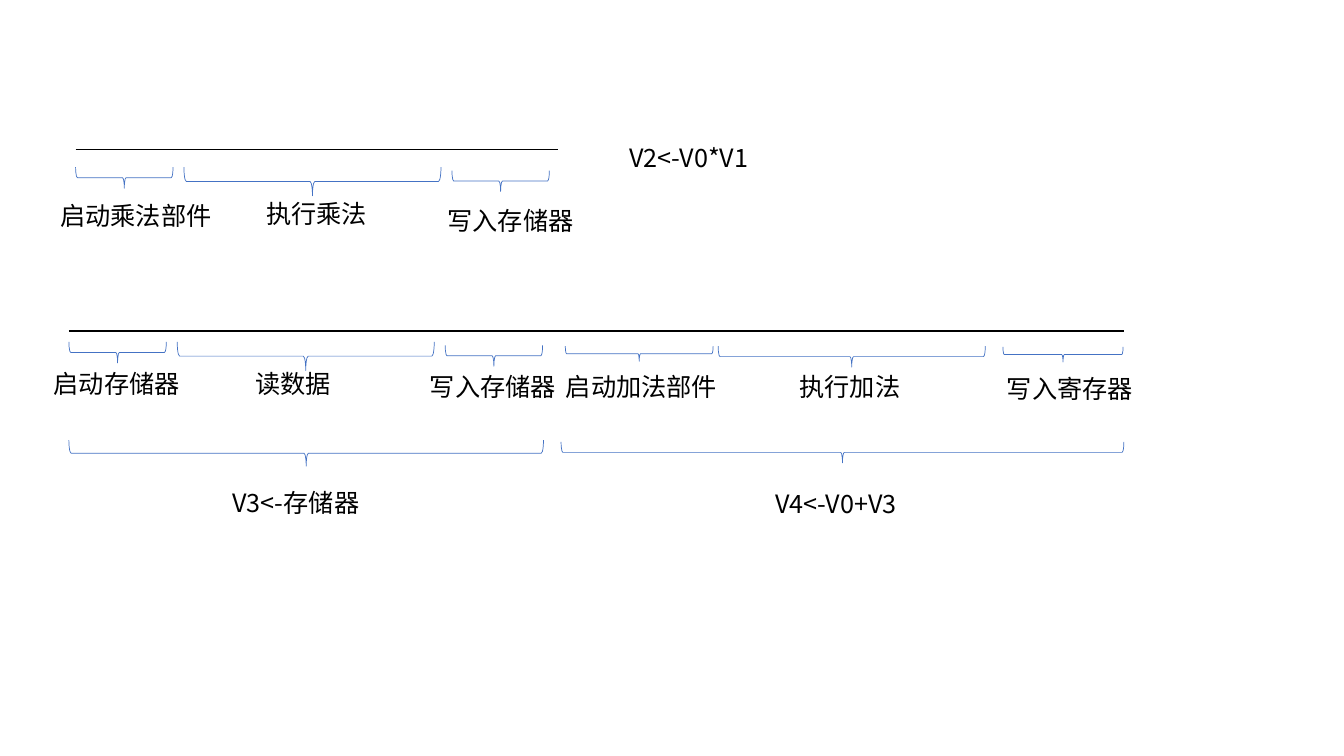
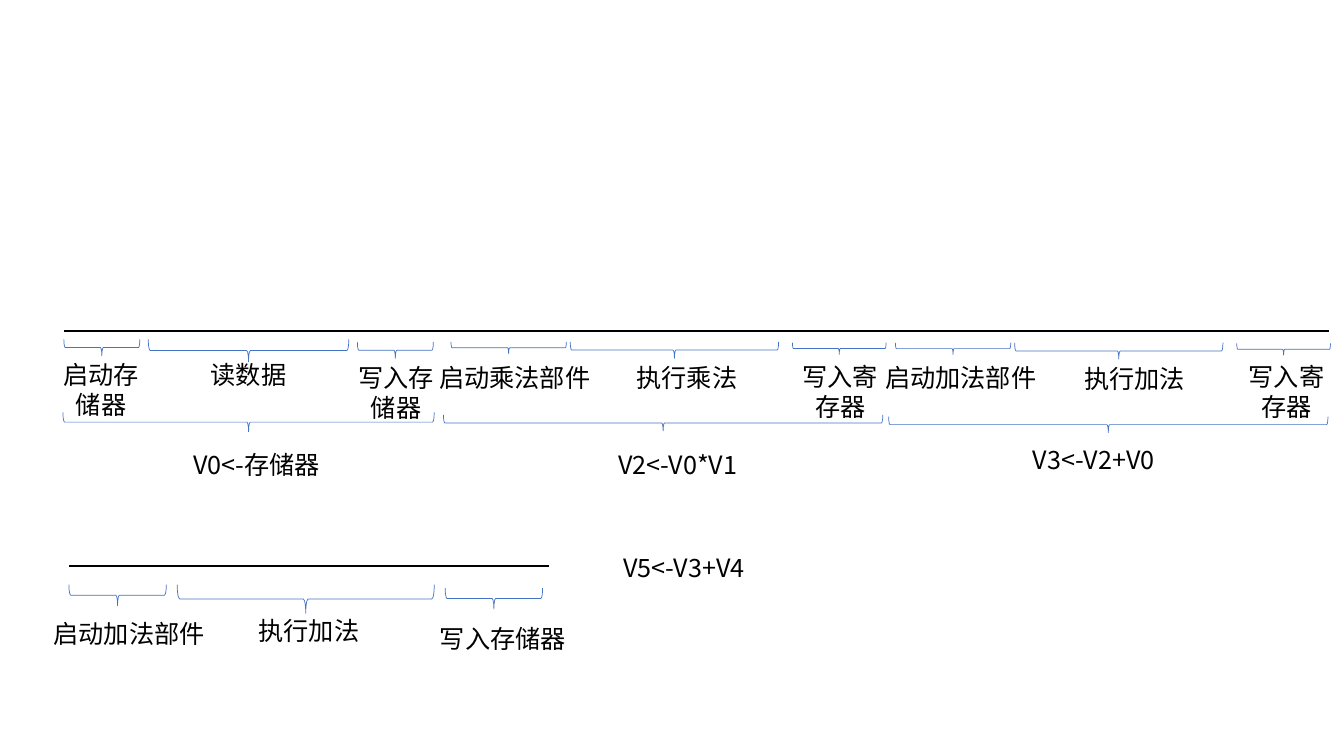
"""Build two slides of vector-pipeline timelines with braced stages."""
from dataclasses import dataclass
from typing import NamedTuple, Optional

from lxml.etree import SubElement
from pptx import Presentation
from pptx.dml.color import RGBColor
from pptx.enum.shapes import MSO_CONNECTOR as CONN, MSO_SHAPE as SHAPE
from pptx.enum.text import MSO_AUTO_SIZE as AUTO, PP_ALIGN as ALIGN
from pptx.oxml.ns import qn
from pptx.slide import Slide
from pptx.util import Inches, Pt

COLORS = {"text": "000000", "axis": "000000", "brace": "4472C4"}
FONT = "Noto Sans CJK SC"
WIDTH, HEIGHT = Inches(13.3333), Inches(7.5)
COLUMNS, ROWS = 80, 45
LINE_HEIGHT, WRAPPED_HEIGHT = 2.4, 4.25
COMPACT = 0.78


class Step(NamedTuple):
    offset: float
    drop: float
    span: float
    depth: float


class Axis(NamedTuple):
    start: float
    end: float
    row: float


class Brace(NamedTuple):
    col: float
    row: float
    span: float
    depth: float


class Label(NamedTuple):
    text: str
    col: float
    row: float
    width: Optional[float] = None
    wrapped: bool = False


WIDE_ENDS = (Step(0, 0, 5.8, 1.25), Step(6.45, 0, 15.3, 1.7), Step(22.4, 0.2, 5.8, 1.25))
WIDE_START = (Step(0, 0, 8.8, 0.9), Step(9.1, 0, 15.9, 1.25), Step(26.05, 0.05, 7.15, 0.9))


@dataclass(frozen=True)
class Stages:
    col: float
    row: float
    steps: tuple[Step, ...]
    labels: tuple[Label, ...]
    scale: float = 1


@dataclass(frozen=True)
class Timeline:
    axis: Axis
    stages: tuple[Stages, ...]
    results: tuple[Label, ...]
    braces: tuple[Brace, ...] = ()


SLIDES = (
    (
        Timeline(
            Axis(4.1, 66.9, 19.7),
            (
                Stages(4.1, 20.35, WIDE_ENDS, (
                    Label("启动存储器", 2.6, 21.6),
                    Label("读数据", 14.6, 21.6),
                    Label("写入存储器", 25, 21.8))),
                Stages(33.65, 20.6, WIDE_START, (
                    Label("启动加法部件", 33.1, 21.8),
                    Label("执行加法", 47, 21.8),
                    Label("写入寄存器", 59.35, 21.95))),
            ),
            (Label("V3<-存储器", 13.25, 28.7, 9.25), Label("V4<-V0+V3", 45.55, 28.75, 9.2)),
            (Brace(4.1, 26.2, 28.25, 1.55), Brace(33.4, 26.3, 33.5, 1.25)),
        ),
        Timeline(
            Axis(4.5, 33.2, 8.9),
            (Stages(4.5, 9.95, WIDE_ENDS, (
                Label("启动乘法部件", 3, 11.65),
                Label("执行乘法", 15.25, 11.5),
                Label("写入存储器", 26.05, 11.95))),),
            (Label("V2<-V0*V1", 36.85, 8.15, 8.8),),
        ),
    ),
    (
        Timeline(
            Axis(4.1, 32.7, 33.7),
            (Stages(4.1, 34.8, WIDE_ENDS, (
                Label("启动加法部件", 2.6, 36.5),
                Label("执行加法", 14.8, 36.35),
                Label("写入存储器", 25.6, 36.8))),),
            (Label("V5<-V3+V4", 36.5, 32.6, 9.2),),
        ),
        Timeline(
            Axis(3.8, 79.1, 19.7),
            (
                Stages(3.8, 20.2, WIDE_ENDS, (
                    Label("启动存储器", 2.6, 21.1, 6.85, True),
                    Label("读数据", 11.95, 21.1, 6.85),
                    Label("写入存储器", 20.15, 21.25, 6.85, True)), COMPACT),
                Stages(26.85, 20.35, WIDE_START, (
                    Label("启动乘法部件", 25.55, 21.25),
                    Label("执行乘法", 37.3, 21.25, 8.35),
                    Label("写入寄存器", 46.6, 21.2, 6.85, True)), COMPACT),
                Stages(53.3, 20.4, WIDE_START, (
                    Label("启动加法部件", 52.1, 21.3),
                    Label("执行加法", 63.95, 21.35, 8.35),
                    Label("写入寄存器", 73.15, 21.2, 6.85, True)), COMPACT),
            ),
            (
                Label("V0<-存储器", 10.9, 26.45, 11.1),
                Label("V2<-V0*V1", 36.2, 26.45, 10.2),
                Label("V3<-V2+V0", 60.9, 26.15, 10.2),
            ),
            (
                Brace(3.75, 24.55, 22.1, 1.15),
                Brace(26.4, 24.7, 26.15, 0.95),
                Brace(52.9, 24.8, 26.15, 0.95),
            ),
        ),
    ),
)


def x(cols: float) -> int:
    return round(WIDTH * cols / COLUMNS)


def y(rows: float) -> int:
    return round(HEIGHT * rows / ROWS)


def color(name: str) -> RGBColor:
    return RGBColor.from_string(COLORS[name])


def draw_axis(slide: Slide, axis: Axis) -> None:
    line = slide.shapes.add_connector(
        CONN.STRAIGHT, x(axis.start), y(axis.row), x(axis.end), y(axis.row))
    line.line.color.rgb = color("axis")
    line.line.width = Pt(1)
    SubElement(line._element.spPr, qn("a:effectLst"))


def draw_brace(slide: Slide, brace: Brace) -> None:
    left = brace.col + (brace.span - brace.depth) / 2
    top = brace.row + (brace.depth - brace.span) / 2
    sp = slide.shapes.add_shape(
        SHAPE.LEFT_BRACE, x(left), y(top), x(brace.depth), y(brace.span))
    sp.rotation = 270
    sp.shadow.inherit = False
    sp.fill.background()
    sp.line.color.rgb = color("brace")
    sp.line.width = Pt(0.5)


def draw_label(slide: Slide, label: Label) -> None:
    width = label.width or 1.5 * len(label.text) + 1.3
    height = WRAPPED_HEIGHT if label.wrapped else LINE_HEIGHT
    sp = slide.shapes.add_textbox(x(label.col), y(label.row), x(width), y(height))
    tf = sp.text_frame
    tf.word_wrap = True
    tf.auto_size = AUTO.SHAPE_TO_FIT_TEXT
    tf.text = label.text
    p = tf.paragraphs[0]
    p.alignment = ALIGN.CENTER if label.wrapped else ALIGN.LEFT
    r = p.runs[0]
    r.font.size = Pt(18)
    r.font.name = FONT
    r.font.color.rgb = color("text")
    SubElement(r._r.get_or_add_rPr(), qn("a:ea"), typeface=FONT)


def draw_stages(slide: Slide, stages: Stages) -> None:
    for step, label in zip(stages.steps, stages.labels):
        offset, drop, span, depth = (value * stages.scale for value in step)
        draw_brace(slide, Brace(stages.col + offset, stages.row + drop, span, depth))
        draw_label(slide, label)


def draw_timeline(slide: Slide, timeline: Timeline) -> None:
    draw_axis(slide, timeline.axis)
    for stages in timeline.stages:
        draw_stages(slide, stages)
    for brace in timeline.braces:
        draw_brace(slide, brace)
    for label in timeline.results:
        draw_label(slide, label)


def main() -> None:
    prs = Presentation()
    prs.slide_width, prs.slide_height = WIDTH, HEIGHT
    for timelines in SLIDES:
        slide = prs.slides.add_slide(prs.slide_layouts[6])
        for timeline in timelines:
            draw_timeline(slide, timeline)
    prs.save("out.pptx")


if __name__ == "__main__":
    main()
